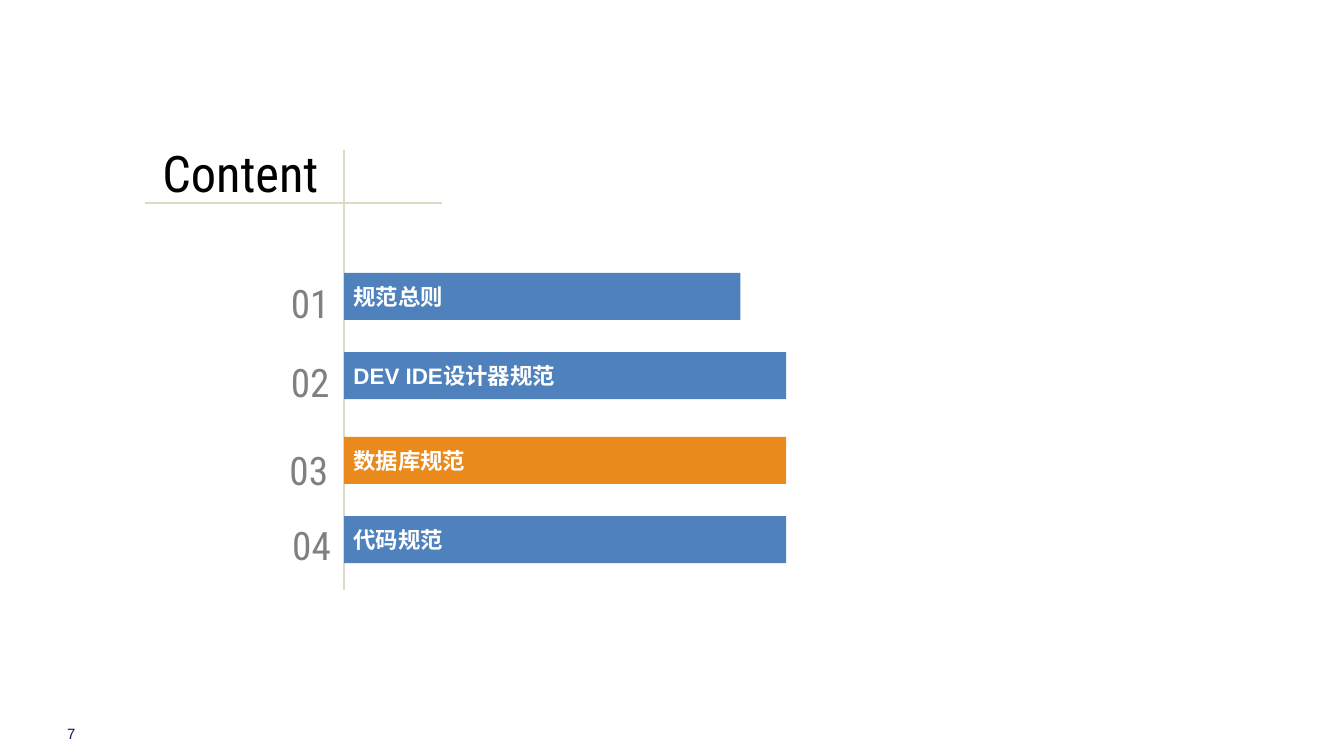
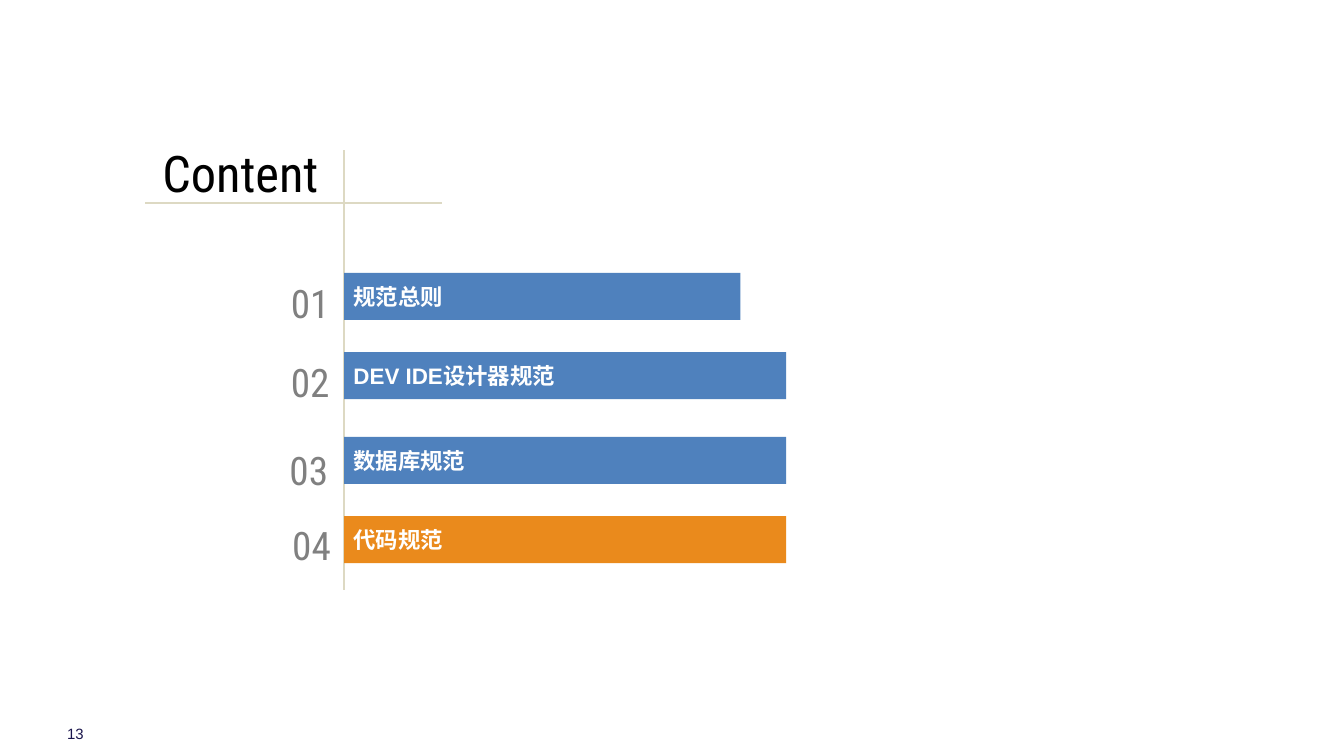
from pptx import Presentation
from pptx import util as u
from pptx.dml.color import RGBColor
from pptx.enum import shapes, text
from pptx.oxml.ns import qn
from lxml import etree

COLORS = {
    "background": "FFFFFF",
    "title": "000000",
    "rule": "DDD9C3",
    "number": "808080",
    "chapter": "4F81BD",
    "current": "EA8A1C",
    "label": "FFFFFF",
    "page": "1A154C",
}

# Font formats, one per kind of text
TITLE = {"name": "Roboto Condensed", "size": u.Pt(27)}
NUMBER = {"name": "Roboto Condensed", "size": u.Pt(21)}
LABEL = {"name": "Arial", "size": u.Pt(12), "bold": True}
PAGE = {"name": "Arial", "size": u.Pt(8)}

# Text frame formats
PLAIN = {"word_wrap": True}
BAR_FRAME = {
    "word_wrap": True,
    "vertical_anchor": text.MSO_ANCHOR.MIDDLE,
    "margin_left": u.Inches(0.07), "margin_right": u.Inches(0.07),
    "margin_top": u.Inches(0.04), "margin_bottom": u.Inches(0.04),
}
PAGE_FRAME = {
    "word_wrap": False,
    "vertical_anchor": text.MSO_ANCHOR.MIDDLE,
    "margin_left": 0, "margin_right": 0, "margin_top": 0, "margin_bottom": 0,
}

AXIS_X = 2.56
BAR_HEIGHT = 0.35
# label, bar top, bar width, number box (left, top, width, height)
CHAPTERS = [
    ("规范总则", 2.03, 2.95, (1.97, 1.96, 0.58, 0.53)),
    ("DEV IDE设计器规范", 2.62, 3.29, (1.97, 2.55, 0.58, 0.53)),
    ("数据库规范", 3.25, 3.29, (1.96, 3.2, 0.58, 0.48)),
    ("代码规范", 3.84, 3.29, (1.98, 3.76, 0.58, 0.48)),
]
# page number, current chapter
AGENDAS = [(7, 3), (13, 4)]


def rgb(role):
    return RGBColor.from_string(COLORS[role])


def apply(target, values):
    for key, value in values.items():
        setattr(target, key, value)


def write(holder, words, font, role, frame, paragraph=None):
    apply(holder.text_frame, frame)
    line = holder.text_frame.paragraphs[0]
    apply(line, {"alignment": text.PP_ALIGN.LEFT, **(paragraph or {})})
    run = line.add_run()
    run.text = words
    apply(run.font, font)
    run.font.color.rgb = rgb(role)


def add_text(slide, box, *content):
    write(slide.shapes.add_textbox(*map(u.Inches, box)), *content)


def add_rule(slide, *ends):
    rule = slide.shapes.add_connector(
        shapes.MSO_CONNECTOR.STRAIGHT, *map(u.Inches, ends))
    rule.line.color.rgb = rgb("rule")
    rule.line.width = u.Pt(1)
    etree.SubElement(rule.element.spPr, qn("a:effectLst"))


def add_bar(slide, label, top, width, role):
    bar = slide.shapes.add_shape(
        shapes.MSO_SHAPE.RECTANGLE,
        *map(u.Inches, (AXIS_X, top, width, BAR_HEIGHT)))
    bar.shadow.inherit = False
    bar.fill.solid()
    bar.fill.fore_color.rgb = rgb(role)
    bar.line.fill.background()
    write(bar, label, LABEL, "label", BAR_FRAME)


def add_agenda(deck, page, current):
    slide = deck.slides.add_slide(deck.slide_layouts[6])
    slide.background.fill.solid()
    slide.background.fill.fore_color.rgb = rgb("background")

    # Page number
    add_text(slide, (0.5, 5.39, 0.25, 0.13), str(page), PAGE, "page", PAGE_FRAME)

    # Title with crossing rules
    add_text(slide, (1.11, 1.01, 2.04, 0.44), "Content", TITLE, "title", PLAIN)
    add_rule(slide, AXIS_X, 1.12, AXIS_X, 4.39)
    add_rule(slide, 1.08, 1.51, 3.29, 1.51)

    # Numbered chapters
    right_aligned = {"alignment": text.PP_ALIGN.RIGHT, "line_spacing": 1.2}
    for index, (label, top, width, number_box) in enumerate(CHAPTERS, 1):
        add_text(slide, number_box, f"{index:02}", NUMBER, "number", PLAIN,
                 right_aligned)
        add_bar(slide, label, top, width,
                "current" if index == current else "chapter")


def main():
    deck = Presentation()
    # Widescreen, 16:9
    deck.slide_width = u.Inches(10)
    deck.slide_height = u.Inches(10 * 9 / 16)
    for page, current in AGENDAS:
        add_agenda(deck, page, current)
    deck.save("out.pptx")


if __name__ == "__main__":
    main()
